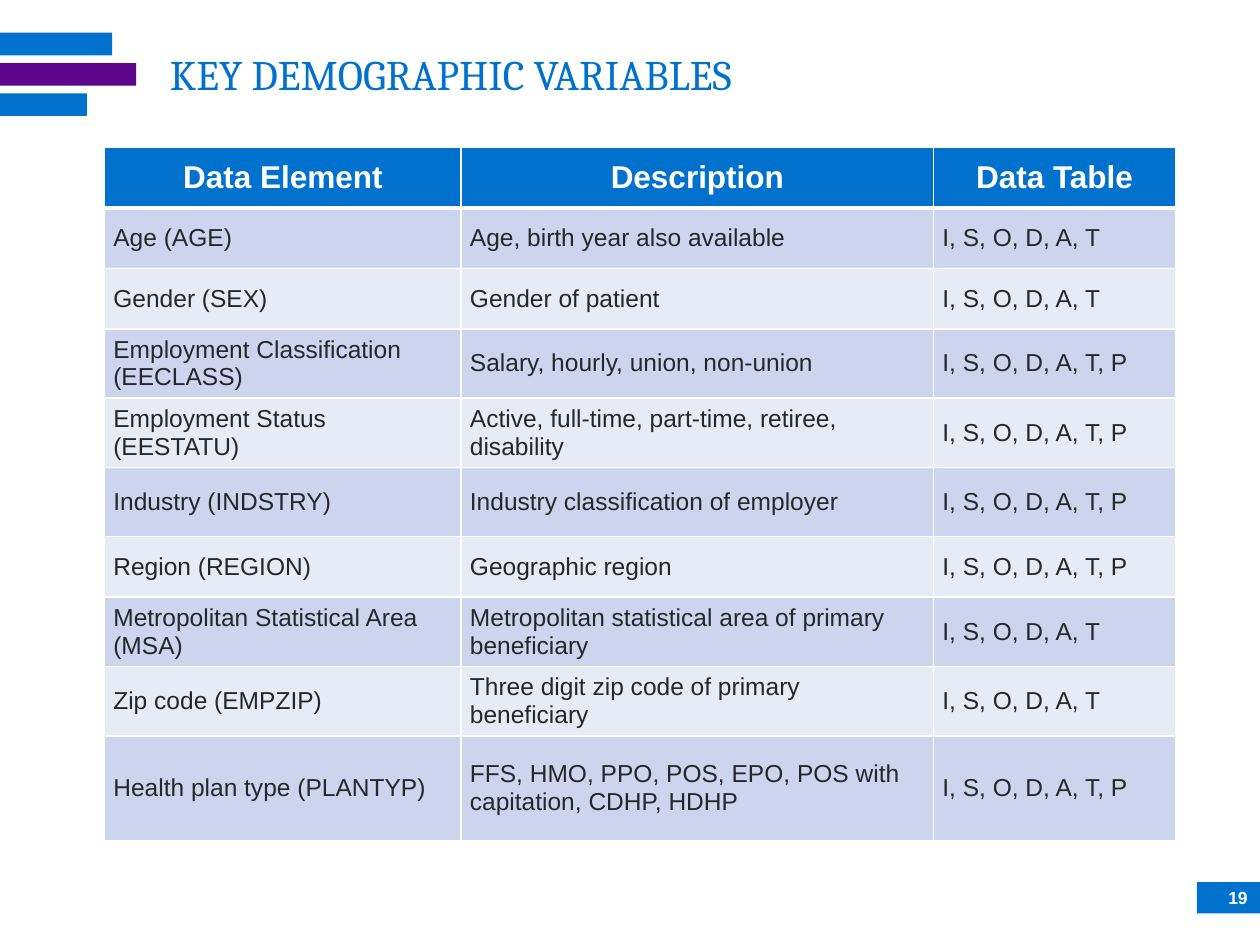
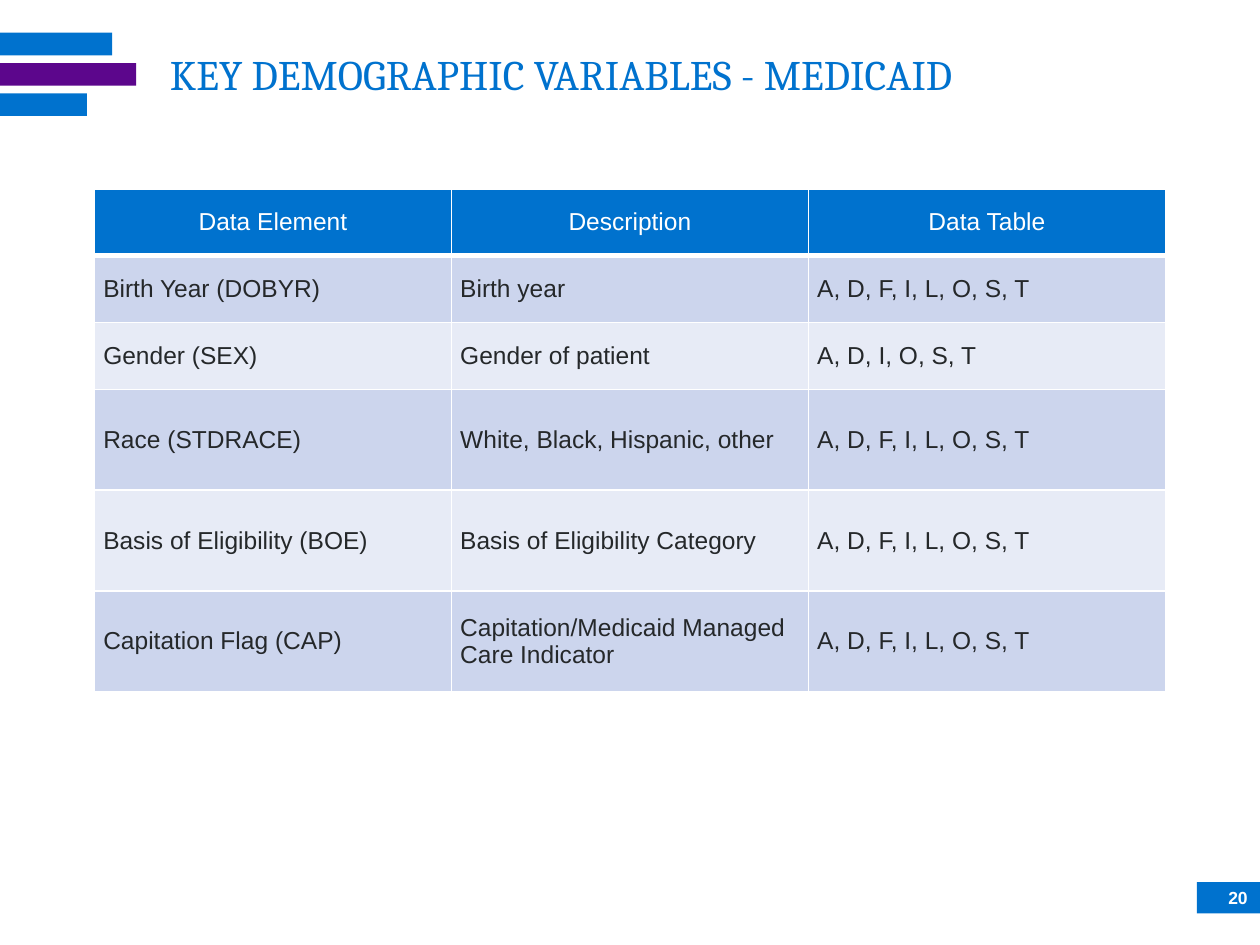
from dataclasses import dataclass

from lxml.etree import SubElement
from pptx import Presentation
from pptx.dml.color import RGBColor
from pptx.enum.shapes import MSO_SHAPE as Shape
from pptx.enum.text import MSO_ANCHOR as Anchor, PP_ALIGN as Align
from pptx.oxml.ns import qn
from pptx.util import Inches, Pt

COLORS = {
    "blue": "0072CE",
    "purple": "5C068C",
    "white": "FFFFFF",
    "ink": "25282A",
    "dark_band": "CCD5ED",
    "light_band": "E7EBF6",
}
HEADINGS = ("Data Element", "Description", "Data Table")
BAR_TOP, BAR_PITCH, BAR_HEIGHT = 0.26, 0.24, 0.18
CELL_INSET = 0.07
BORDER, HEADER_RULE = 1, 3


@dataclass(frozen=True)
class Bar:
    width: float
    color: str


@dataclass(frozen=True)
class Style:
    size: float
    color: str
    font: str = "Arial"
    bold: bool = False
    align: Align = Align.LEFT


@dataclass(frozen=True)
class VariablesPage:
    number: int
    title: str
    left: float
    top: float
    columns: tuple[float, ...]
    heights: tuple[float, ...]
    header: Style
    rows: tuple[tuple[str, str, str], ...]


BARS = (Bar(0.89, "blue"), Bar(1.08, "purple"), Bar(0.69, "blue"))
TITLE = Style(24, "blue", "Cambria")
NUMBER = Style(10, "white", bold=True, align=Align.RIGHT)
BODY = Style(14, "ink")

CLAIMS = "I, S, O, D, A, T"
CLAIMS_POPULATION = "I, S, O, D, A, T, P"
MEDICAID = "A, D, F, I, L, O, S, T"

PAGES = (
    VariablesPage(
        19, "KEY DEMOGRAPHIC VARIABLES", 0.83, 1.17, (2.83, 3.75, 1.92),
        (0.48, 0.48, 0.48, 0.55, 0.55, 0.55, 0.48, 0.55, 0.55, 0.83),
        Style(18, "white", bold=True, align=Align.CENTER),
        (
            ("Age (AGE)", "Age, birth year also available", CLAIMS),
            ("Gender (SEX)", "Gender of patient", CLAIMS),
            ("Employment Classification (EECLASS)",
             "Salary, hourly, union, non-union", CLAIMS_POPULATION),
            ("Employment Status (EESTATU)",
             "Active, full-time, part-time, retiree, disability", CLAIMS_POPULATION),
            ("Industry (INDSTRY)", "Industry classification of employer", CLAIMS_POPULATION),
            ("Region (REGION)", "Geographic region", CLAIMS_POPULATION),
            ("Metropolitan Statistical Area (MSA)",
             "Metropolitan statistical area of primary beneficiary", CLAIMS),
            ("Zip code (EMPZIP)", "Three digit zip code of primary beneficiary", CLAIMS),
            ("Health plan type (PLANTYP)",
             "FFS, HMO, PPO, POS, EPO, POS with capitation, CDHP, HDHP", CLAIMS_POPULATION),
        ),
    ),
    VariablesPage(
        20, "KEY DEMOGRAPHIC VARIABLES - MEDICAID", 0.75, 1.5, (8.5 / 3,) * 3,
        (0.53,) * 3 + (0.8,) * 3,
        Style(14, "white", align=Align.CENTER),
        (
            ("Birth Year (DOBYR)", "Birth year", MEDICAID),
            ("Gender (SEX)", "Gender of patient", "A, D, I, O, S, T"),
            ("Race (STDRACE)", "White, Black, Hispanic, other", MEDICAID),
            ("Basis of Eligibility (BOE)", "Basis of Eligibility Category", MEDICAID),
            ("Capitation Flag (CAP)", "Capitation/Medicaid Managed Care Indicator", MEDICAID),
        ),
    ),
)


def rgb(name: str) -> RGBColor:
    return RGBColor.from_string(COLORS[name])


def write(frame, text: str, style: Style) -> None:
    para = frame.paragraphs[0]
    para.alignment = style.align
    span = para.add_run()
    span.text = text
    span.font.name = style.font
    span.font.size = Pt(style.size)
    span.font.bold = style.bold
    span.font.color.rgb = rgb(style.color)


def add_band(page, left: float, top: float, width: float, height: float, color: str) -> None:
    band = page.shapes.add_shape(
        Shape.RECTANGLE, Inches(left), Inches(top), Inches(width), Inches(height))
    band.shadow.inherit = False
    band.fill.solid()
    band.fill.fore_color.rgb = rgb(color)
    band.line.fill.background()


def add_text(page, left: float, top: float, width: float, height: float,
             text: str, style: Style) -> None:
    box = page.shapes.add_textbox(Inches(left), Inches(top), Inches(width), Inches(height))
    frame = box.text_frame
    frame.word_wrap = True
    frame.vertical_anchor = Anchor.MIDDLE
    write(frame, text, style)


def set_borders(cell, top: float, bottom: float) -> None:
    properties = cell._tc.get_or_add_tcPr()
    for side, points in (("L", BORDER), ("R", BORDER), ("T", top), ("B", bottom)):
        line = SubElement(properties, qn(f"a:ln{side}"), w=str(Pt(points)))
        fill = SubElement(line, qn("a:solidFill"))
        SubElement(fill, qn("a:srgbClr"), val=COLORS["white"])


def fill_cell(cell, row: int, text: str, style: Style) -> None:
    set_borders(cell, HEADER_RULE if row == 1 else BORDER, HEADER_RULE if row == 0 else BORDER)
    band = "blue" if row == 0 else "dark_band" if row % 2 else "light_band"
    cell.fill.solid()
    cell.fill.fore_color.rgb = rgb(band)
    cell.margin_left = cell.margin_right = Inches(CELL_INSET)
    cell.margin_top = cell.margin_bottom = 0
    cell.vertical_anchor = Anchor.MIDDLE
    write(cell.text_frame, text, style)


def add_variables_table(page, content: VariablesPage) -> None:
    rows = (HEADINGS, *content.rows)
    table = page.shapes.add_table(
        len(rows), len(HEADINGS), Inches(content.left), Inches(content.top),
        Inches(sum(content.columns)), Inches(sum(content.heights))).table
    table.first_row = table.horz_banding = False
    for column, width in zip(table.columns, content.columns):
        column.width = Inches(width)
    for row, (texts, height) in enumerate(zip(rows, content.heights)):
        table.rows[row].height = Inches(height)
        style = BODY if row else content.header
        for column, text in enumerate(texts):
            fill_cell(table.cell(row, column), row, text, style)


def add_page(deck, content: VariablesPage) -> None:
    page = deck.slides.add_slide(deck.slide_layouts[6])
    add_band(page, 9.5, 7, 0.5, 0.25, "blue")
    for index, bar in enumerate(BARS):
        add_band(page, 0, BAR_TOP + index * BAR_PITCH, bar.width, BAR_HEIGHT, bar.color)
    add_text(page, 1.25, 0.17, 8.25, 0.83, content.title, TITLE)
    add_variables_table(page, content)
    add_text(page, 9.42, 7, 0.58, 0.25, str(content.number), NUMBER)


def main() -> None:
    deck = Presentation()
    deck.slide_width, deck.slide_height = Inches(10), Inches(7.5)
    for content in PAGES:
        add_page(deck, content)
    deck.save("out.pptx")


if __name__ == "__main__":
    main()
